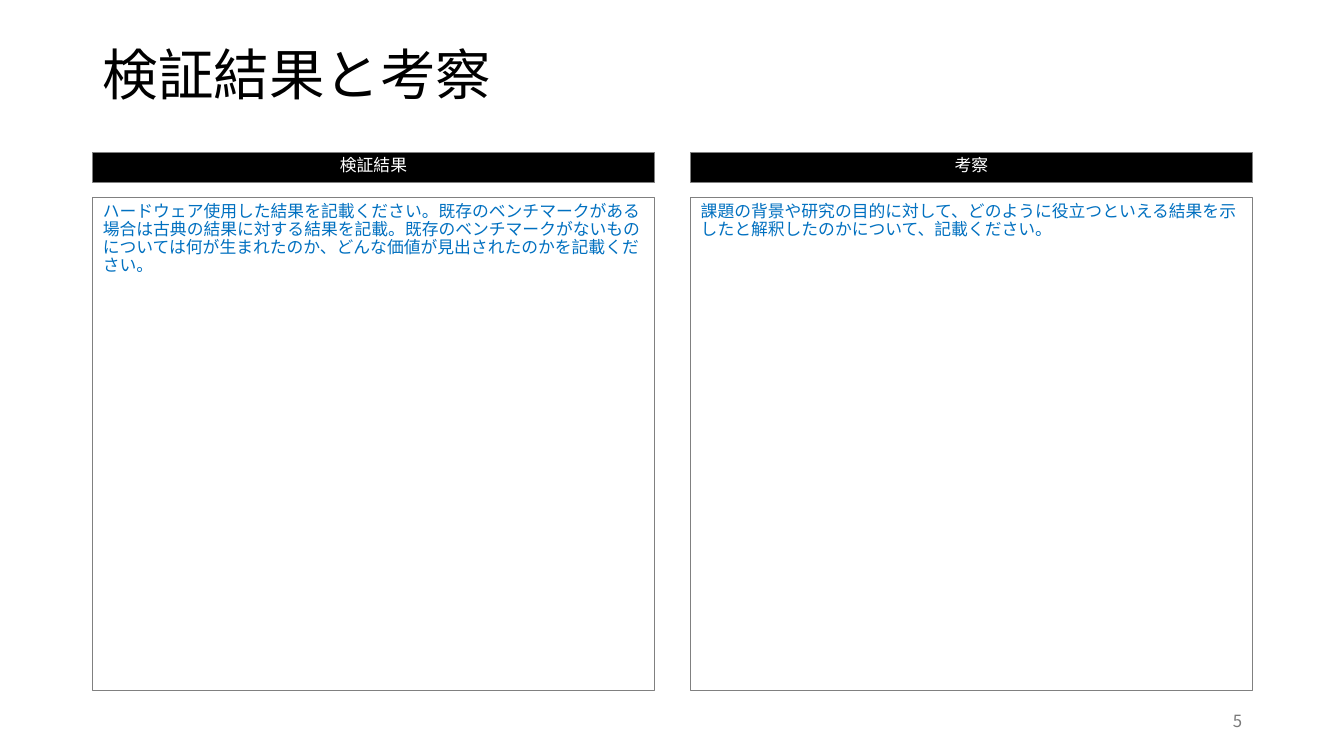
from dataclasses import dataclass

from lxml.etree import SubElement
from pptx import Presentation
from pptx.dml.color import RGBColor
from pptx.enum.text import MSO_ANCHOR, MSO_AUTO_SIZE, PP_ALIGN
from pptx.oxml.ns import qn
from pptx.util import Inches, Pt


@dataclass(frozen=True)
class Theme:
    font: str = "Noto Sans CJK JP"
    black: RGBColor = RGBColor(0x00, 0x00, 0x00)
    white: RGBColor = RGBColor(0xFF, 0xFF, 0xFF)
    guide_blue: RGBColor = RGBColor(0x00, 0x70, 0xC0)
    border_gray: RGBColor = RGBColor(0x80, 0x80, 0x80)
    number_gray: RGBColor = RGBColor(0x79, 0x79, 0x79)
    title_size: float = 39.6
    text_size: float = 12


THEME = Theme()


def place(box, left, top, width, height):
    box.left, box.top = Inches(left), Inches(top)
    box.width, box.height = Inches(width), Inches(height)


def write(box, text, color, size=THEME.text_size, align=PP_ALIGN.LEFT,
          anchor=MSO_ANCHOR.TOP, line_spacing=0.9):
    """Fill the box with one unbulleted paragraph in the theme font."""
    frame = box.text_frame
    frame.word_wrap = True
    frame.auto_size = MSO_AUTO_SIZE.NONE
    frame.vertical_anchor = anchor
    para = frame.paragraphs[0]
    properties = para._p.get_or_add_pPr()
    properties.set("marL", "0")
    properties.set("indent", "0")
    SubElement(properties, qn("a:buNone"))
    para.alignment = align
    para.line_spacing = line_spacing
    para.space_before = Pt(0)
    span = para.add_run()
    span.text = text
    span.font.name = THEME.font
    span.font.size = Pt(size)
    span.font.bold = False
    span.font.color.rgb = color
    SubElement(span._r.get_or_add_rPr(), qn("a:ea"), typeface=THEME.font)


deck = Presentation()
deck.slide_width, deck.slide_height = Inches(13.33), Inches(7.5)
comparison_layout = deck.slide_layouts.get_by_name("Comparison")
page = deck.slides.add_slide(comparison_layout)

MARGIN = 0.92
CONTENT_WIDTH = 11.5
COLUMN_WIDTH = 5.57
COLUMN_STEP = CONTENT_WIDTH - COLUMN_WIDTH

title = page.shapes.title
place(title, MARGIN, 0.4, CONTENT_WIDTH, 0.73)
write(title, "検証結果と考察", THEME.black, THEME.title_size, anchor=MSO_ANCHOR.MIDDLE)

# Placeholder indexes of the heading and body, then their texts
columns = [
    (1, 2, "検証結果",
     "ハードウェア使用した結果を記載ください。既存のベンチマークがある場合は古典の結果に対する結果を記載。"
     "既存のベンチマークがないものについては何が生まれたのか、どんな価値が見出されたのかを記載ください。"),
    (3, 4, "考察",
     "課題の背景や研究の目的に対して、どのように役立つといえる結果を示したと解釈したのかについて、記載ください。"),
]
placeholders = {box.placeholder_format.idx: box for box in page.placeholders}
for number, (heading_index, body_index, heading_text, body_text) in enumerate(columns):
    left = MARGIN + number * COLUMN_STEP
    heading, body = placeholders[heading_index], placeholders[body_index]
    place(heading, left, 1.51, COLUMN_WIDTH, 0.3)
    place(body, left, 1.96, COLUMN_WIDTH, 4.89)
    for box in (heading, body):
        box.line.color.rgb = THEME.border_gray
        box.line.width = Pt(0.75)
    heading.fill.solid()
    heading.fill.fore_color.rgb = THEME.black
    write(heading, heading_text, THEME.white, align=PP_ALIGN.CENTER)
    write(body, body_text, THEME.guide_blue)

page_number = page.shapes.add_textbox(Inches(9.42), Inches(6.95), Inches(3), Inches(0.4))
write(page_number, "5", THEME.number_gray, align=PP_ALIGN.RIGHT,
      anchor=MSO_ANCHOR.MIDDLE, line_spacing=1.0)

deck.save("out.pptx")
